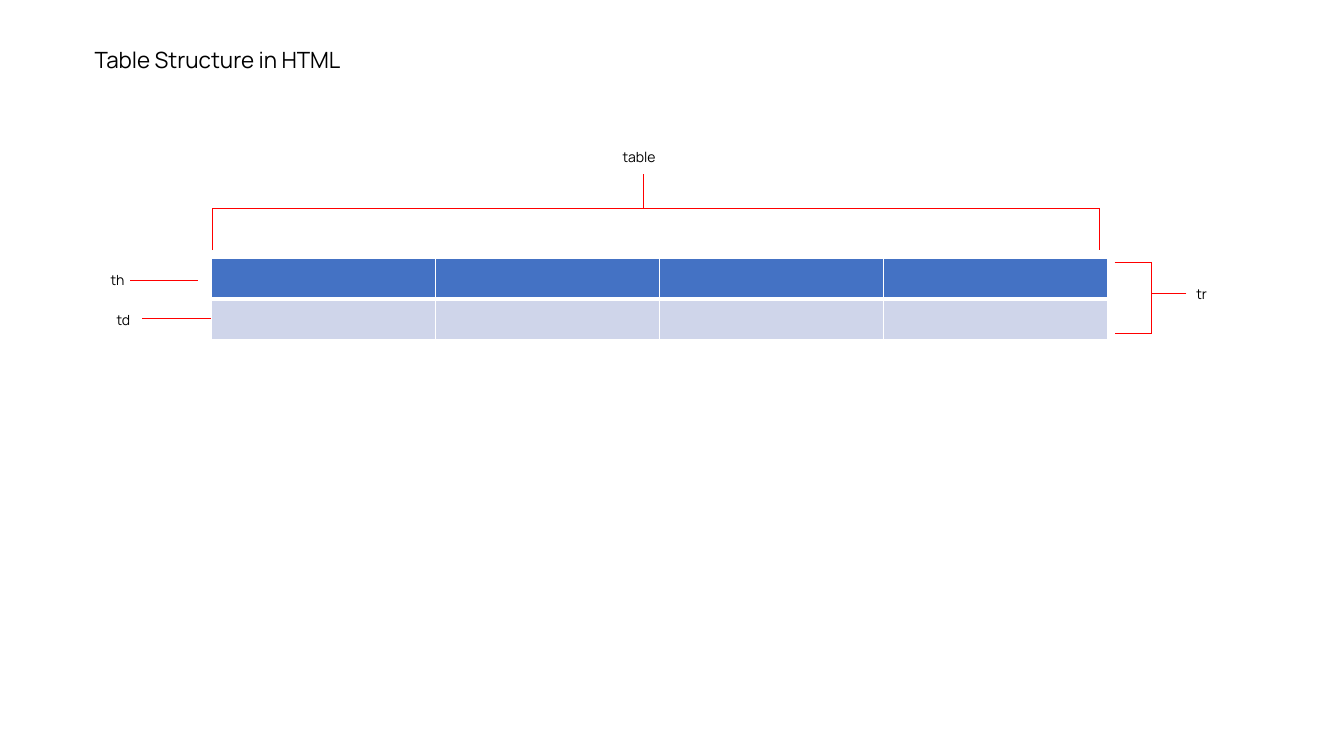
from lxml.etree import SubElement
from pptx import Presentation
from pptx.dml.color import RGBColor
from pptx.enum.shapes import MSO_CONNECTOR
from pptx.enum.text import MSO_ANCHOR, MSO_AUTO_SIZE, PP_ALIGN
from pptx.oxml.ns import qn
from pptx.util import Cm, Pt

FONT = "Manrope"
BLACK, WHITE, RED = "000000", "FFFFFF", "FF0000"
TITLE = "Table Structure in HTML"

# Tag: left, top, width in cm
TAGS = {
    "th": (2.54, 6.71, 1.12),
    "td": (2.69, 7.72, 1.12),
    "tr": (29.9, 7.06, 1.12),
    "table": (15.44, 3.61, 2.18),
}
TAG_HEIGHT = 0.69

# Row fill and width of its bottom border in points
ROWS = [("4472C4", 3), ("CFD5EA", 1)]
COLUMNS = 4
GRID_LEFT, GRID_TOP, COLUMN_WIDTH, ROW_HEIGHT = 5.33, 6.5, 5.645, 1.03

# Chains of points in cm, each pair of neighbours joined by a line
TABLE_BRACKET = [(5.36, 6.3), (5.36, 5.24), (27.71, 5.24), (27.71, 6.3)]
ROW_BRACKET = [(28.09, 6.61), (29.01, 6.61), (29.01, 8.41), (28.09, 8.41)]
TABLE_STEM = [(16.21, 5.24), (16.21, 4.39)]
TH_LEAD = [(4.98, 7.06), (3.28, 7.06)]
TD_LEAD = [(5.31, 8.03), (3.58, 8.03)]
TR_LEAD = [(29.9, 7.4), (29.01, 7.4)]


def color(code):
    return RGBColor.from_string(code)


def write(shape, text, size, wrap):
    frame = shape.text_frame
    settings = {
        "text": text,
        "word_wrap": wrap,
        "auto_size": MSO_AUTO_SIZE.SHAPE_TO_FIT_TEXT,
        "vertical_anchor": MSO_ANCHOR.TOP,
    }
    for name, value in settings.items():
        setattr(frame, name, value)
    paragraph = frame.paragraphs[0]
    paragraph.alignment = PP_ALIGN.LEFT
    paragraph.line_spacing = 1.0
    paragraph.space_before = Pt(0)
    font = paragraph.runs[0].font
    font.name, font.size = FONT, Pt(size)
    font.color.rgb = color(BLACK)


def draw_chain(slide, points):
    """Join neighbouring points with thin red lines and return the lines."""
    lines = []
    for start, end in zip(points, points[1:]):
        line = slide.shapes.add_connector(
            MSO_CONNECTOR.STRAIGHT, *map(Cm, start + end))
        line.line.color.rgb = color(RED)
        line.line.width = Pt(0.5)
        SubElement(line._element.spPr, qn("a:effectLst"))
        lines.append(line)
    return lines


def set_borders(cell, bottom):
    properties = cell._tc.get_or_add_tcPr()
    for side, width in {"lnL": 1, "lnR": 1, "lnT": 1, "lnB": bottom}.items():
        border = SubElement(properties, qn(f"a:{side}"), w=str(Pt(width)))
        fill = SubElement(border, qn("a:solidFill"))
        SubElement(fill, qn("a:srgbClr"), val=WHITE)


def add_grid(slide):
    grid = slide.shapes.add_table(
        len(ROWS), COLUMNS, Cm(GRID_LEFT), Cm(GRID_TOP),
        Cm(COLUMNS * COLUMN_WIDTH), Cm(len(ROWS) * ROW_HEIGHT)).table
    for column in grid.columns:
        column.width = Cm(COLUMN_WIDTH)
    for row, (fill, bottom) in zip(grid.rows, ROWS):
        row.height = Cm(ROW_HEIGHT)
        for cell in row.cells:
            set_borders(cell, bottom)
            cell.fill.solid()
            cell.fill.fore_color.rgb = color(fill)


def main():
    deck = Presentation()
    deck.slide_width, deck.slide_height = Cm(33.87), Cm(19.05)
    slide = deck.slides.add_slide(deck.slide_layouts[5])

    title = slide.shapes.title
    place = {"left": 2.13, "top": 1.04, "width": 7.09, "height": 0.94}
    for name, value in place.items():
        setattr(title, name, Cm(value))
    write(title, TITLE, 16, wrap=False)

    add_grid(slide)

    tags = {}
    for tag, (left, top, width) in TAGS.items():
        tags[tag] = slide.shapes.add_textbox(
            Cm(left), Cm(top), Cm(width), Cm(TAG_HEIGHT))
        write(tags[tag], tag, 10, wrap=True)

    for chain in (TABLE_BRACKET, ROW_BRACKET, TABLE_STEM, TH_LEAD, TD_LEAD):
        draw_chain(slide, chain)
    tr_lead, = draw_chain(slide, TR_LEAD)
    tr_lead.begin_connect(tags["tr"], 1)
    tr_lead.end_y = tr_lead.begin_y

    deck.save("out.pptx")


if __name__ == "__main__":
    main()
